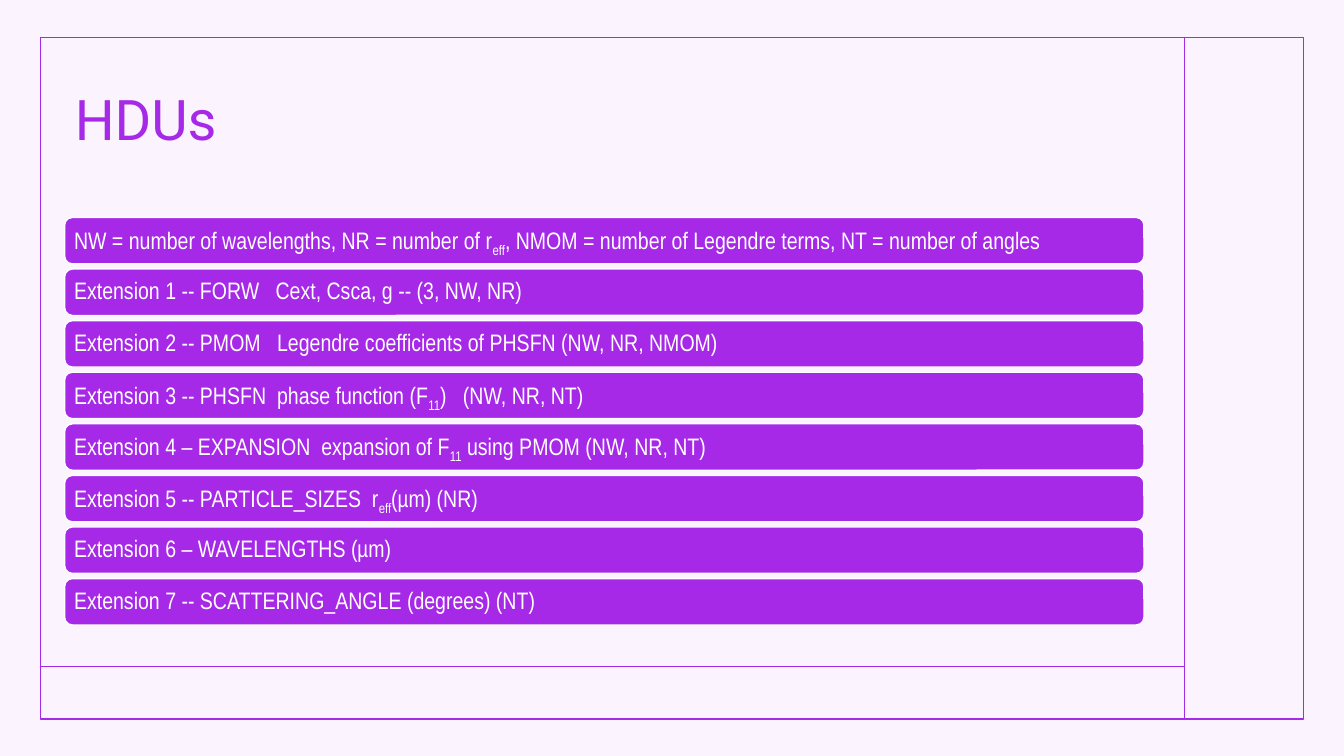
from pptx import Presentation
from pptx.dml.color import RGBColor
from pptx.enum import shapes, text
from pptx.oxml import parse_xml
from pptx.oxml.ns import nsdecls
from pptx.util import Cm, Pt

PURPLE = RGBColor(0xA6, 0x29, 0xE7)
LILAC = RGBColor(0xFB, 0xF4, 0xFE)
WHITE = RGBColor(0xFF, 0xFF, 0xFF)

# Text between bars (|) is subscript
HDUS = [
    "NW = number of wavelengths, NR = number of r|eff|, NMOM = number of Legendre terms, NT = number of angles",
    "Extension 1 -- FORW   Cext, Csca, g -- (3, NW, NR)",
    "Extension 2 -- PMOM   Legendre coefficients of PHSFN (NW, NR, NMOM)",
    "Extension 3 -- PHSFN  phase function (F|11|)   (NW, NR, NT)",
    "Extension 4 – EXPANSION  expansion of F|11| using PMOM (NW, NR, NT)",
    "Extension 5 -- PARTICLE_SIZES  r|eff|(µm) (NR)",
    "Extension 6 – WAVELENGTHS (µm)",
    "Extension 7 -- SCATTERING_ANGLE (degrees) (NT)",
]

prs = Presentation()
prs.slide_width, prs.slide_height = Cm(33.87), Cm(19.05)
s = prs.slides.add_slide(prs.slide_layouts[5])
s.background.fill.solid()
s.background.fill.fore_color.rgb = LILAC

# Frame with its two dividers
frame = s.shapes.add_shape(shapes.MSO_SHAPE.RECTANGLE, Cm(1.02), Cm(0.94), Cm(31.83), Cm(17.18))
frame.shadow.inherit = False
frame.fill.background()
frame.line.color.rgb = PURPLE
frame.line.width = Pt(1)

for x1, y1, x2, y2 in [(29.85, 0.94, 29.85, 18.12), (1.02, 16.79, 29.85, 16.79)]:
    divider = s.shapes.add_connector(shapes.MSO_CONNECTOR.STRAIGHT, Cm(x1), Cm(y1), Cm(x2), Cm(y2))
    divider.line.color.rgb = PURPLE
    divider.line.width = Pt(1)
    divider._element.spPr.append(parse_xml(f"<a:effectLst {nsdecls('a')}/>"))

# Title
title = s.shapes.title
title.left, title.top, title.width, title.height = Cm(1.63), Cm(1.35), Cm(26.47), Cm(3.45)
tf = title.text_frame
tf.text = "HDUs"
tf.vertical_anchor = text.MSO_ANCHOR.MIDDLE
p = tf.paragraphs[0]
p.alignment = text.PP_ALIGN.LEFT
p.line_spacing = 0.9
font = p.runs[0].font
font.name, font.size = "Roboto", Pt(40)
font.color.rgb = PURPLE

# One bar for each HDU
for i, hdu in enumerate(HDUS):
    bar = s.shapes.add_shape(shapes.MSO_SHAPE.ROUNDED_RECTANGLE,
                             Cm(1.63), Cm(5.48 + 1.3 * i), Cm(27.2), Cm(1.17))
    bar.shadow.inherit = False
    bar.fill.solid()
    bar.fill.fore_color.rgb = PURPLE
    bar.line.color.rgb = WHITE
    bar.line.width = Pt(1)
    tf = bar.text_frame
    tf.word_wrap = True
    tf.vertical_anchor = text.MSO_ANCHOR.MIDDLE
    tf.margin_left = tf.margin_right = tf.margin_top = tf.margin_bottom = Cm(0.18)
    p = tf.paragraphs[0]
    p.alignment = text.PP_ALIGN.LEFT
    p.line_spacing = 0.9
    for j, part in enumerate(hdu.split("|")):
        r = p.add_run()
        r.text = part
        r.font.name, r.font.size = "Arial Narrow", Pt(17)
        r.font.color.rgb = WHITE
        if j % 2:
            r.font._element.set("baseline", "-25000")

prs.save("out.pptx")
